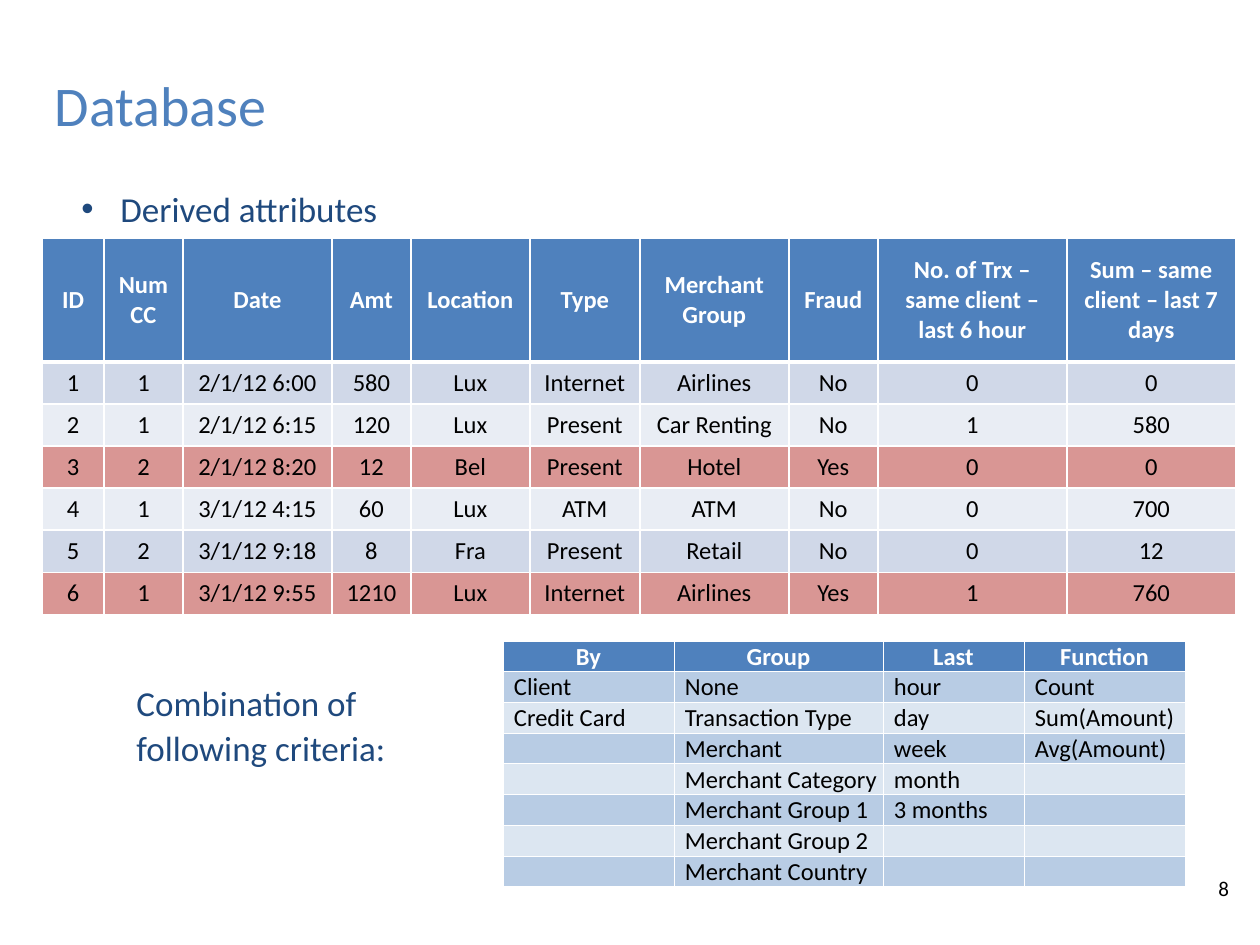
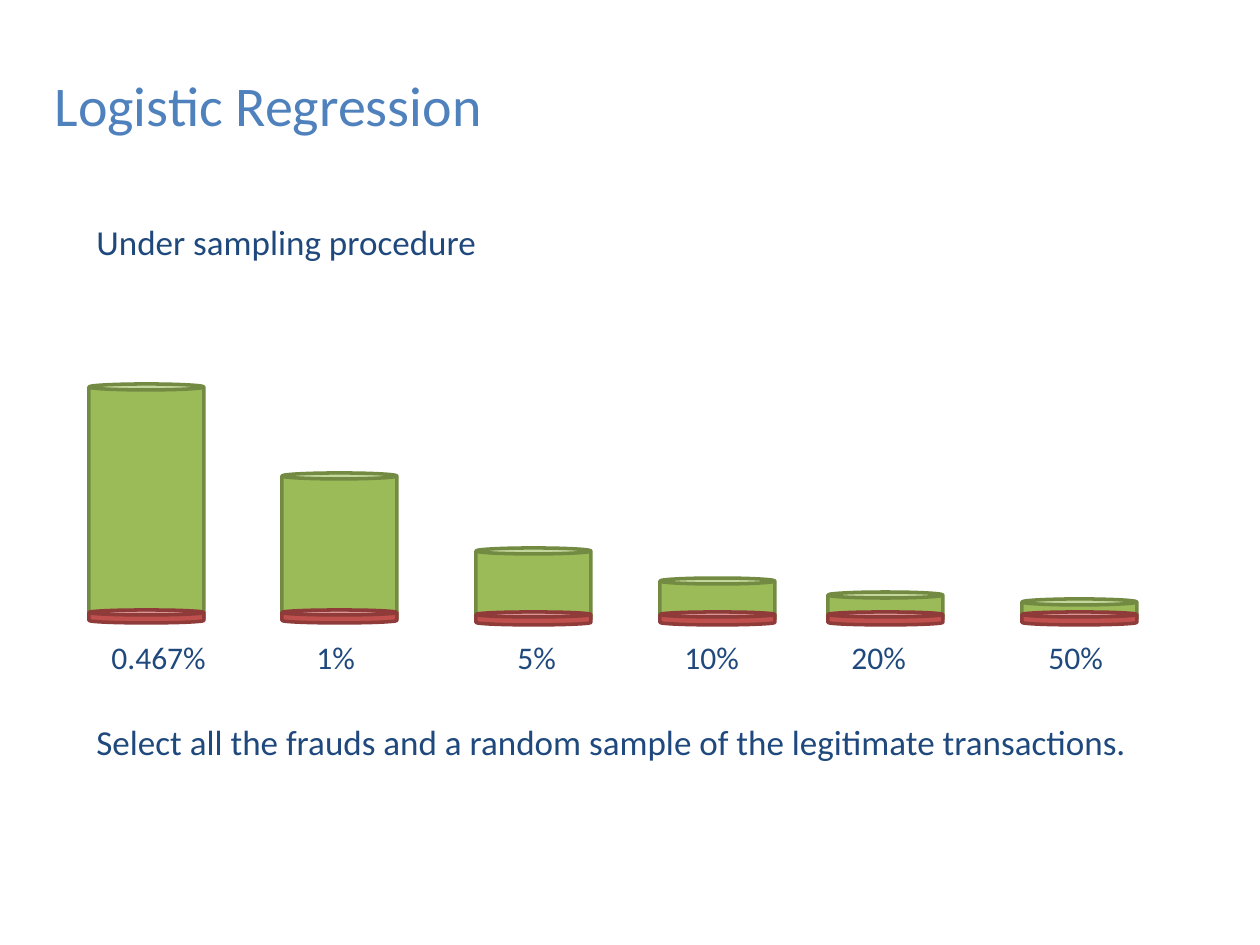
from lxml import etree
from pptx import Presentation
from pptx import util as u
from pptx.dml.color import RGBColor
from pptx.enum import shapes, text
from pptx.oxml.ns import qn

PX = 914400 / 126
FONT = "Calibri"
HUES = {
    "white": "FFFFFF", "black": "000000", "blue": "4F81BD", "navy": "1F497D",
    "pale": "E9EDF4", "mist": "D0D8E8", "rose": "D99694",
    "sky": "B8CCE4", "ice": "DCE6F1",
    "green": "9BBB59", "moss": "738A42", "red": "C0504D", "wine": "8E3B39",
}

TRADES = [
    ("ID", "Num CC", "Date", "Amt", "Location", "Type", "Merchant Group", "Fraud",
     "No. of Trx – same client – last 6 hour", "Sum – same client – last 7 days"),
    ("1", "1", "2/1/12 6:00", "580", "Lux", "Internet", "Airlines", "No", "0", "0"),
    ("2", "1", "2/1/12 6:15", "120", "Lux", "Present", "Car Renting", "No", "1", "580"),
    ("3", "2", "2/1/12 8:20", "12", "Bel", "Present", "Hotel", "Yes", "0", "0"),
    ("4", "1", "3/1/12 4:15", "60", "Lux", "ATM", "ATM", "No", "0", "700"),
    ("5", "2", "3/1/12 9:18", "8", "Fra", "Present", "Retail", "No", "0", "12"),
    ("6", "1", "3/1/12 9:55", "1210", "Lux", "Internet", "Airlines", "Yes", "1", "760"),
]
TRADE_COLS = (62, 79, 149, 79, 119, 110, 149, 89, 189, 169)

RULES = [
    ("By", "Group", "Last", "Function"),
    ("Client", "None", "hour", "Count"),
    ("Credit Card", "Transaction Type", "day", "Sum(Amount)"),
    ("", "Merchant", "week", "Avg(Amount)"),
    ("", "Merchant Category", "month", ""),
    ("", "Merchant Group 1", "3 months", ""),
    ("", "Merchant Group 2", "", ""),
    ("", "Merchant Country", "", ""),
]
RULE_COLS = (171, 209, 141, 161)

# label, label left, can left, can height, fraud top
SAMPLES = [
    ("0.467%", 99, 89, 238, 610),
    ("1%", 304, 282, 149, 610),
    ("5%", 505, 476, 74, 612),
    ("10%", 672, 660, 44, 612),
    ("20%", 839, 828, 30, 612),
    ("50%", 1036, 1022, 23, 612),
]
FLOOR, CAN_W, FRAUD_H, RIM = 622, 115, 13, 6


def px(n):
    return u.Emu(round(n * PX))


def hue(name):
    return RGBColor.from_string(HUES[name])


def style(para, size, color, bold=False):
    for run in para.runs:
        font = run.font
        font.name, font.size, font.bold = FONT, u.Pt(size), bold
        font.color.rgb = hue(color)


def start(deck, title):
    slide = deck.slides.add_slide(deck.slide_layouts[5])
    head = slide.shapes.title
    head.left, head.top, head.width, head.height = map(px, (42, 64, 700, 81))
    frame = head.text_frame
    frame.text = title
    frame.auto_size = text.MSO_AUTO_SIZE.NONE
    frame.vertical_anchor = text.MSO_ANCHOR.TOP
    frame.paragraphs[0].alignment = text.PP_ALIGN.LEFT
    style(frame.paragraphs[0], 32, "blue")
    return slide


def write(slide, words, box, size=20, color="navy"):
    frame = slide.shapes.add_textbox(*map(px, box)).text_frame
    frame.word_wrap = True
    frame.text = words
    for para in frame.paragraphs:
        style(para, size, color)
    return frame.paragraphs


def edge(cell, side, width):
    line = etree.SubElement(cell._tc.get_or_add_tcPr(), qn("a:ln" + side),
                            w=str(u.Pt(width)))
    fill = etree.SubElement(line, qn("a:solidFill"))
    etree.SubElement(fill, qn("a:srgbClr"), val=HUES["white"])


def grid(slide, rows, cols, spot, heights, line, shade):
    table = slide.shapes.add_table(len(rows), len(cols), *map(px, spot),
                                   px(sum(cols)), px(sum(heights))).table
    for col, width in zip(table.columns, cols):
        col.width = px(width)
    for r, row in enumerate(rows):
        table.rows[r].height = px(heights[r])
        for c, words in enumerate(row):
            cell = table.cell(r, c)
            for side in "LRTB":
                thick = line == 1 and (r, side) in ((0, "B"), (1, "T"))
                edge(cell, side, 3 if thick else line)
            cell.fill.solid()
            cell.fill.fore_color.rgb = hue(shade(r, row))
            cell.text = words
            para = cell.text_frame.paragraphs[0]
            style(para, 14, "white" if r == 0 else "black", r == 0)
            if not words:
                etree.SubElement(para._p, qn("a:endParaRPr"), sz="1400")
            yield r, cell, para


def trade_hue(r, row):
    if r == 0:
        return "blue"
    return "rose" if row[7] == "Yes" else ("pale", "mist")[r % 2]


def rule_hue(r, row):
    return ("ice", "sky")[r % 2] if r else "blue"


def can(slide, box, fill, line, rim):
    shape = slide.shapes.add_shape(shapes.MSO_SHAPE.CAN, *map(px, box))
    shape.shadow.inherit = False
    shape.adjustments[0] = rim / min(box[2:])
    shape.fill.solid()
    shape.fill.fore_color.rgb = hue(fill)
    shape.line.color.rgb = hue(line)
    shape.line.width = u.Pt(2)


deck = Presentation()
deck.slide_width, deck.slide_height = px(1260), px(945)

slide = start(deck, "Database")
point = write(slide, "Derived attributes", (69, 186, 500, 50))[0]
point.line_spacing = 0.9
props = point._p.get_or_add_pPr()
props.set("marL", str(px(39)))
props.set("indent", str(px(-39)))
etree.SubElement(props, qn("a:buFont"), typeface="Arial")
etree.SubElement(props, qn("a:buChar"), char="•")

for r, cell, para in grid(slide, TRADES, TRADE_COLS, (42, 238),
                          [124] + [42] * 6, 1, trade_hue):
    cell.vertical_anchor = text.MSO_ANCHOR.MIDDLE
    para.alignment = text.PP_ALIGN.CENTER

for r, cell, para in grid(slide, RULES, RULE_COLS, (503, 641),
                          [30.75] * 8, 0.5, rule_hue):
    cell.vertical_anchor = text.MSO_ANCHOR.BOTTOM
    cell.margin_left = px(11 if r else 1)
    cell.margin_right = cell.margin_top = px(1)
    cell.margin_bottom = 0
    para.alignment = text.PP_ALIGN.LEFT if r else text.PP_ALIGN.CENTER

lines = write(slide, "Combination of\nfollowing criteria:", (124, 680, 340, 100))
for para in lines:
    para.line_spacing = 0.9
lines[1].space_before = u.Pt(4)
write(slide, "8", (1206, 869, 50, 50), 12, "black")

slide = start(deck, "Logistic Regression")
write(slide, "Under sampling procedure", (84, 214, 508, 97))
for label, left, x, high, top in SAMPLES:
    can(slide, (x, FLOOR - high, CAN_W, high), "green", "moss", RIM)
    can(slide, (x, top, CAN_W, FRAUD_H), "red", "wine", 5)
    write(slide, label, (left, 632, 130, 50), 18)
write(slide, "Select all the frauds and a random sample of the legitimate transactions.",
      (84, 714, 1100, 55))

deck.save("out.pptx")
